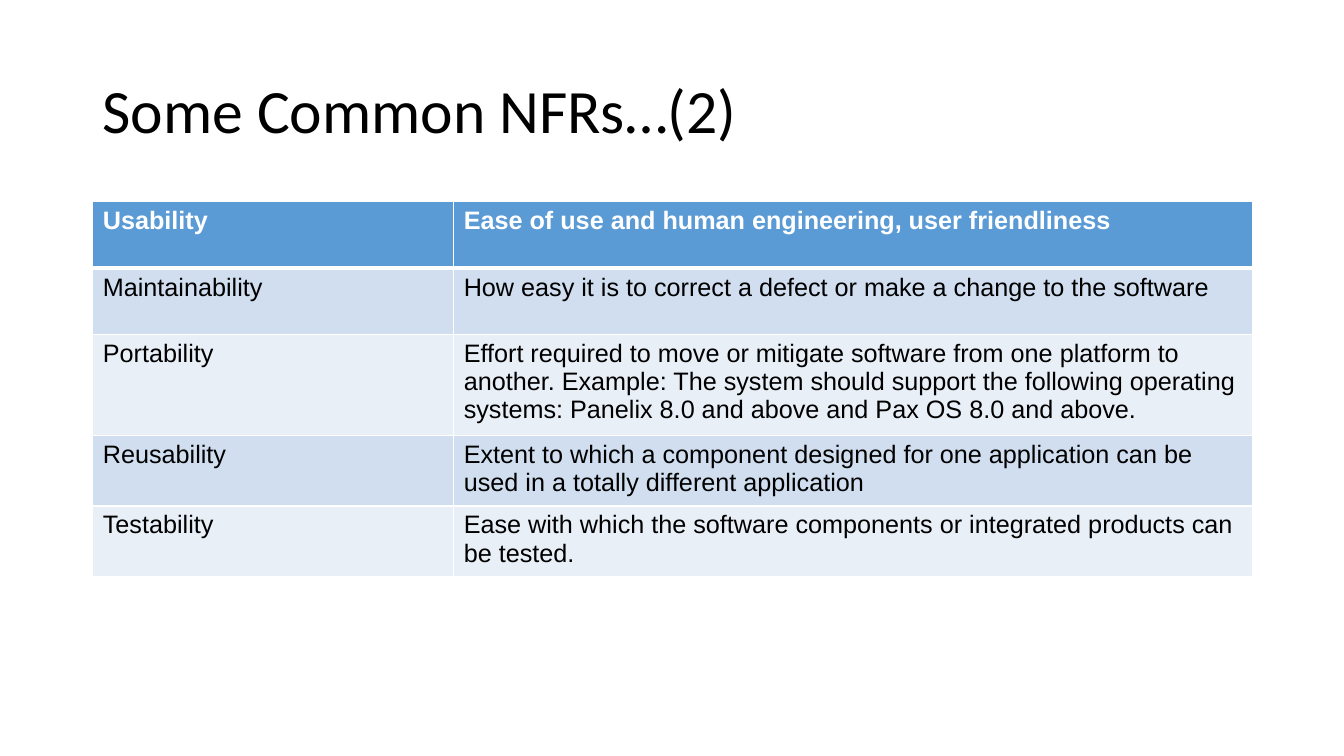
import pptx
import pptx.dml.color
import pptx.enum.text
import pptx.oxml
import pptx.oxml.ns
import pptx.util
from pptx.util import Inches


def color(hex_string):
    return pptx.dml.color.RGBColor.from_string(hex_string)


def add_border(cell, side, points):
    width = pptx.util.Pt(points)
    line = pptx.oxml.parse_xml(
        f'<a:{side} {pptx.oxml.ns.nsdecls("a")} w="{width}"><a:solidFill>'
        f'<a:srgbClr val="FFFFFF"/></a:solidFill></a:{side}>')
    cell._tc.get_or_add_tcPr().append(line)


deck = pptx.Presentation()
deck.slide_width, deck.slide_height = Inches(13.33), Inches(7.5)
page = deck.slides.add_slide(deck.slide_layouts[6])

# Title
title = page.shapes.add_textbox(Inches(0.92), Inches(0.4), Inches(11.5), Inches(1.45))
title.text_frame.word_wrap = True
title.text_frame.vertical_anchor = pptx.enum.text.MSO_ANCHOR.MIDDLE
para = title.text_frame.paragraphs[0]
para.text = "Some Common NFRs…(2)"
para.line_spacing = 0.9
para.font.name = "Calibri"
para.font.size = pptx.util.Pt(44)
para.font.color.rgb = color("000000")

# Table of requirements
requirements = [
    ("Usability", "Ease of use and human engineering, user friendliness"),
    ("Maintainability", "How easy it is to correct a defect or make a change to the software"),
    ("Portability",
     "Effort required to move or mitigate software from one platform to another. "
     "Example: The system should support the following operating systems: "
     "Panelix 8.0 and above and Pax OS 8.0 and above."),
    ("Reusability",
     "Extent to which a component designed for one application can be used "
     "in a totally different application"),
    ("Testability",
     "Ease with which the software components or integrated products can be tested."),
]
row_height = 0.66
frame = page.shapes.add_table(
    len(requirements), 2, Inches(0.92), Inches(2),
    Inches(11.5), Inches(row_height * len(requirements)))
table = frame.table
table.columns[0].width = Inches(3.58)
table.columns[1].width = Inches(7.92)

for row, texts in enumerate(requirements):
    header = row == 0
    fill = "5B9BD5" if header else ("E9EFF7", "D0DEEF")[row % 2]
    for column, text in enumerate(texts):
        cell = table.cell(row, column)
        for side in ("lnL", "lnR", "lnT", "lnB"):
            heavy = (row, side) in ((0, "lnB"), (1, "lnT"))
            add_border(cell, side, 3 if heavy else 1)
        cell.fill.solid()
        cell.fill.fore_color.rgb = color(fill)
        para = cell.text_frame.paragraphs[0]
        para.text = text
        para.font.name = "Arial"
        para.font.size = pptx.util.Pt(18)
        para.font.bold = header
        para.font.color.rgb = color("FFFFFF" if header else "000000")

deck.save("out.pptx")
